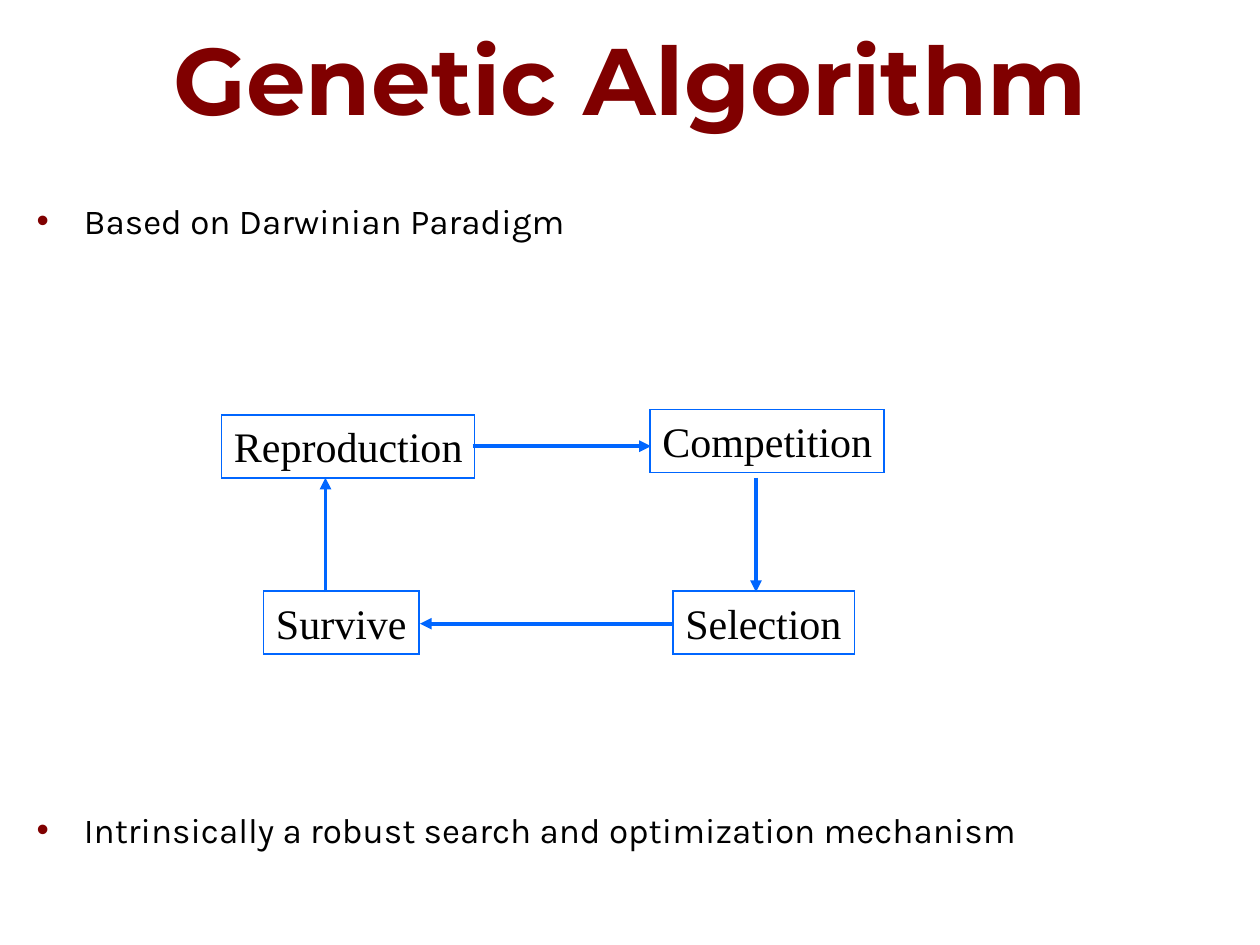
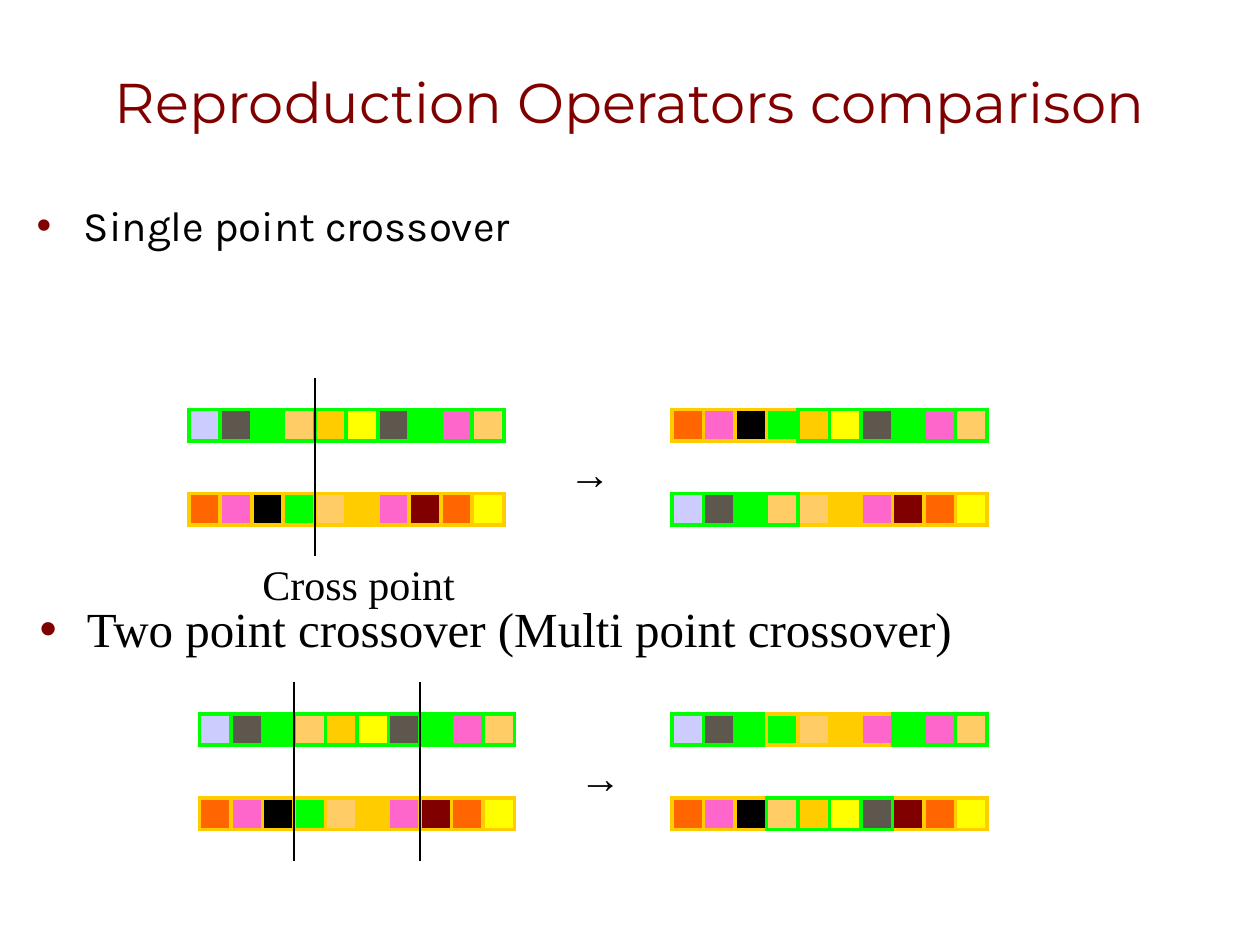
from dataclasses import dataclass

from lxml.etree import SubElement
from pptx import Presentation
from pptx.dml.color import RGBColor
from pptx.enum.shapes import MSO_CONNECTOR, MSO_SHAPE
from pptx.enum.text import MSO_ANCHOR, MSO_AUTO_SIZE, PP_ALIGN
from pptx.oxml.ns import qn
from pptx.util import Pt

PX = 7620  # EMU per px: 120 px to the inch
SLIDE_W, SLIDE_H = 1200, 900


@dataclass(frozen=True)
class Theme:
    maroon: str = "800000"
    ink: str = "000000"
    blue: str = "0066FF"
    green: str = "00FF00"
    gold: str = "FFCC00"
    heading: str = "Montserrat"
    body: str = "Karla"
    label: str = "Times New Roman"
    symbol: str = "Arial"
    hero_size: int = 54
    title_size: int = 32
    large_size: int = 28
    label_size: int = 24
    body_size: int = 20
    thin: float = 1
    thick: float = 2.25
    hanging: int = 45
    side_inset: int = 12
    stage_right_inset: int = 4
    edge_inset: int = 6


THEME = Theme()

# Genes of the two parents: colour of the cell borders, then of each cell
FIRST = (THEME.green, ["CCCCFF", "5E574E", "00FF00", "FFCC66", "FFCC00",
                       "FFFF00", "5E574E", "00FF00", "FF66CC", "FFCC66"])
SECOND = (THEME.gold, ["FF6600", "FF66CC", "000000", "00FF00", "FFCC66",
                       "FFCC00", "FF66CC", "800000", "FF6600", "FFFF00"])
GENES = len(FIRST[1])
GENE = 30
ROW_GAP = 80
CHILD_LEFT = 640


def rgb(value):
    return RGBColor.from_string(value)


def write(frame, text, *, size, font, color=THEME.ink, bold=False, align=None,
          before=0, line_spacing=None, bullet=False, more=False):
    """Put text into the frame; more=True adds it as a further paragraph."""
    paragraph = frame.add_paragraph() if more else frame.paragraphs[0]
    run = paragraph.add_run()
    run.text = text
    run.font.size, run.font.name, run.font.bold = Pt(size), font, bold
    run.font.color.rgb = rgb(color)
    paragraph.alignment = align or PP_ALIGN.LEFT
    paragraph.space_before = Pt(before)
    if line_spacing:
        paragraph.line_spacing = line_spacing
    if bullet:
        properties = paragraph._p.get_or_add_pPr()
        properties.set("marL", str(THEME.hanging * PX))
        properties.set("indent", str(-THEME.hanging * PX))
        bullet_color = SubElement(properties, qn("a:buClr"))
        SubElement(bullet_color, qn("a:srgbClr"), val=THEME.maroon)
        SubElement(properties, qn("a:buFont"), typeface=THEME.symbol)
        SubElement(properties, qn("a:buChar"), char="•")


class Deck:
    def __init__(self, theme):
        self.theme = theme
        self.presentation = Presentation()
        self.presentation.slide_width = SLIDE_W * PX
        self.presentation.slide_height = SLIDE_H * PX
        self.slide = None

    def new_slide(self, title, size, bold=False):
        blank = self.presentation.slide_layouts[6]
        self.slide = self.presentation.slides.add_slide(blank)
        frame = self.text_area(0, 0, SLIDE_W, 134)
        frame.vertical_anchor = MSO_ANCHOR.BOTTOM
        write(frame, title, size=size, font=self.theme.heading, bold=bold,
              color=self.theme.maroon, align=PP_ALIGN.CENTER)

    def set_frame(self, frame, wrap=True):
        frame.margin_left = frame.margin_right = self.theme.side_inset * PX
        frame.margin_top = frame.margin_bottom = self.theme.edge_inset * PX
        frame.vertical_anchor = MSO_ANCHOR.TOP
        frame.word_wrap = wrap
        frame.auto_size = MSO_AUTO_SIZE.NONE if wrap else MSO_AUTO_SIZE.SHAPE_TO_FIT_TEXT
        return frame

    def text_area(self, left, top, width, height, wrap=True):
        box = self.slide.shapes.add_textbox(left * PX, top * PX, width * PX, height * PX)
        return self.set_frame(box.text_frame, wrap)

    def label(self, text, left, top, width, font):
        frame = self.text_area(left, top, width, 60, wrap=False)
        write(frame, text, size=self.theme.label_size, font=font)

    def rectangle(self, left, top, width, height, border, weight, fill=None):
        shape = self.slide.shapes.add_shape(
            MSO_SHAPE.RECTANGLE, left * PX, top * PX, width * PX, height * PX)
        shape.shadow.inherit = False
        if fill:
            shape.fill.solid()
            shape.fill.fore_color.rgb = rgb(fill)
        else:
            shape.fill.background()
        shape.line.color.rgb = rgb(border)
        shape.line.width = Pt(weight)
        SubElement(shape.line._get_or_add_ln(), qn("a:miter"), lim="800000")
        return shape

    def stage(self, text, left, top, width):
        box = self.rectangle(left, top, width, 60, self.theme.blue, self.theme.thin)
        frame = self.set_frame(box.text_frame)
        # Slack on the right keeps the label on one line
        frame.margin_right = self.theme.stage_right_inset * PX
        write(frame, text, size=self.theme.label_size, font=self.theme.label)

    def line(self, start, end, color, weight, arrow=False):
        points = [value * PX for value in (*start, *end)]
        connector = self.slide.shapes.add_connector(MSO_CONNECTOR.STRAIGHT, *points)
        connector.line.color.rgb = rgb(color)
        connector.line.width = Pt(weight)
        if arrow:
            SubElement(connector.line._get_or_add_ln(), qn("a:tailEnd"), type="triangle")
        SubElement(connector._element.spPr, qn("a:effectLst"))

    def chromosome(self, left, top, segments):
        """Draw segments (parent, start, stop); later ones overlap earlier borders."""
        for (border, colors), start, stop in segments:
            for index in range(start, stop):
                self.rectangle(left + index * GENE, top, GENE, GENE,
                               border, self.theme.thick, colors[index])

    def crossover(self, left, top, cuts, upper_child, lower_child):
        # Parents and the cut lines through them
        self.chromosome(left, top + ROW_GAP, [(SECOND, 0, GENES)])
        self.chromosome(left, top, [(FIRST, 0, GENES)])
        for cut in cuts:
            x = left + cut * GENE
            self.line((x, top - 30), (x, top + 140), self.theme.ink, self.theme.thin)
        # Children
        self.label("→", left + 350, top + 30, 64, self.theme.symbol)
        self.chromosome(CHILD_LEFT, top + ROW_GAP, lower_child)
        self.chromosome(CHILD_LEFT, top, upper_child)


def add_genetic_algorithm(deck):
    theme = deck.theme
    deck.new_slide("Genetic Algorithm", theme.hero_size, bold=True)
    # Statements above and below the cycle
    statements = deck.text_area(23, 184, 1146, 694)
    style = dict(size=theme.body_size, font=theme.body, bullet=True)
    write(statements, "Based on Darwinian Paradigm", before=5, **style)
    write(statements, "Intrinsically a robust search and optimization mechanism",
          before=324, more=True, **style)
    # Cycle
    for stage in (("Reproduction", 211, 395, 241), ("Competition", 619, 390, 223),
                  ("Selection", 641, 563, 173), ("Survive", 251, 563, 148)):
        deck.stage(*stage)
    for start, end in (((720, 455), (720, 564)), ((640, 594), (400, 594)),
                       ((310, 564), (310, 455)), ((450, 425), (620, 425))):
        deck.line(start, end, theme.blue, theme.thick, arrow=True)


def add_crossover_comparison(deck):
    theme = deck.theme
    deck.new_slide("Reproduction Operators comparison", theme.title_size)
    # Single point
    single = deck.text_area(23, 184, 1146, 103)
    write(single, "Single point crossover", size=theme.label_size,
          font=theme.body, before=6, bullet=True)
    deck.crossover(180, 390, [4],
                   upper_child=[(SECOND, 0, 4), (FIRST, 4, GENES)],
                   lower_child=[(SECOND, 4, GENES), (FIRST, 0, 4)])
    deck.label("Cross point", 238, 526, 208, theme.label)
    # Two points
    deck.crossover(190, 680, [3, 7],
                   upper_child=[(FIRST, 0, 3), (SECOND, 3, 7), (FIRST, 7, GENES)],
                   lower_child=[(SECOND, 0, 3), (SECOND, 7, GENES), (FIRST, 3, 7)])
    double = deck.text_area(26, 570, 1020, 80)
    write(double, "Two point crossover (Multi point crossover)", size=theme.large_size,
          font=theme.label, before=7, line_spacing=0.9, bullet=True)


def main():
    deck = Deck(THEME)
    add_genetic_algorithm(deck)
    add_crossover_comparison(deck)
    deck.presentation.save("out.pptx")


if __name__ == "__main__":
    main()
